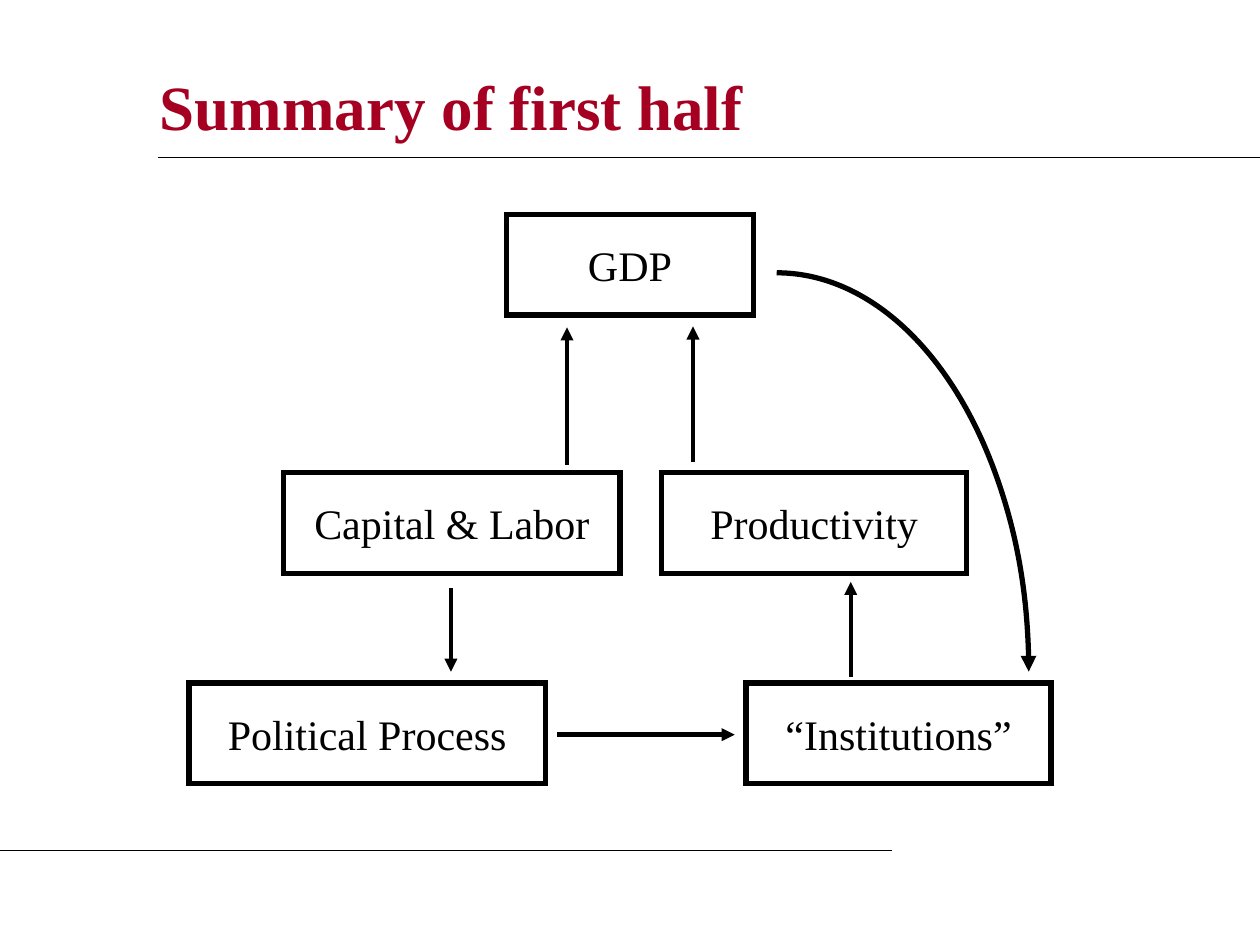
"""Build a slide with a cycle diagram linking GDP, politics and institutions."""
from typing import NamedTuple

from lxml import etree
from pptx import Presentation
from pptx import util as u
from pptx.dml.color import RGBColor
from pptx.enum import shapes, text
from pptx.oxml import ns

FONT = "Times New Roman"
BLACK = "000000"
CRIMSON = "A50021"
BOX_HEIGHT = 2.03
BOX_INSET = 0.51
TOP_ROW, MIDDLE_ROW, BOTTOM_ROW = 4.32, 9.53, 13.77


class Box(NamedTuple):
    label: str
    left: float
    top: float
    width: float


class Line(NamedTuple):
    start: tuple[float, float]
    end: tuple[float, float]


BOXES = [
    Box("GDP", 10.21, TOP_ROW, 4.98),
    Box("Capital & Labor", 5.72, MIDDLE_ROW, 6.78),
    Box("Productivity", 13.34, MIDDLE_ROW, 6.15),
    Box("Political Process", 3.81, BOTTOM_ROW, 7.19),
    Box("“Institutions”", 15.04, BOTTOM_ROW, 6.15),
]
RULES = [
    Line((3.18, 3.18), (25.4, 3.18)),
    Line((0, 17.15), (17.98, 17.15)),
]
ARROWS = [
    Line((11.43, 9.37), (11.43, 6.6)),
    Line((13.97, 9.32), (13.97, 6.58)),
    Line((17.15, 13.64), (17.15, 11.73)),
    Line((9.09, 11.86), (9.09, 13.54)),
    Line((11.23, 14.81), (14.81, 14.81)),
]


def color(value: str) -> RGBColor:
    return RGBColor.from_string(value)


def style_line(shape, width: float, end: str = "") -> None:
    shape.line.width = u.Pt(width)
    shape.line.color.rgb = color(BLACK)
    outline = shape.line._get_or_add_ln()
    etree.SubElement(outline, ns.qn("a:miter"), lim="800000")
    if end:
        etree.SubElement(outline, ns.qn("a:tailEnd"), type=end)


def style_text(paragraph, size: float, value: str, bold: bool = False) -> None:
    for run in paragraph.runs:
        run.font.name = FONT
        run.font.size = u.Pt(size)
        run.font.bold = bold
        run.font.color.rgb = color(value)


def add_title(slide, title: str) -> None:
    shape = slide.shapes.title
    shape.left, shape.top = u.Cm(2.97), u.Cm(1.07)
    shape.width, shape.height = u.Cm(20.52), u.Cm(2.11)
    frame = shape.text_frame
    frame.text = title
    frame.vertical_anchor = text.MSO_ANCHOR.MIDDLE
    paragraph = frame.paragraphs[0]
    paragraph.alignment = text.PP_ALIGN.LEFT
    style_text(paragraph, 36, CRIMSON, bold=True)


def add_outline(slide, kind, left: float, top: float, width: float, height: float):
    shape = slide.shapes.add_shape(kind, u.Cm(left), u.Cm(top), u.Cm(width), u.Cm(height))
    shape.shadow.inherit = False
    shape.fill.background()
    return shape


def add_box(slide, box: Box) -> None:
    shape = add_outline(slide, shapes.MSO_SHAPE.RECTANGLE,
                        box.left, box.top, box.width, BOX_HEIGHT)
    style_line(shape, 3)
    frame = shape.text_frame
    frame.text = box.label
    frame.word_wrap = True
    frame.vertical_anchor = text.MSO_ANCHOR.MIDDLE
    frame.margin_left = frame.margin_right = u.Cm(BOX_INSET)
    frame.margin_top = frame.margin_bottom = u.Cm(BOX_INSET)
    paragraph = frame.paragraphs[0]
    paragraph.alignment = text.PP_ALIGN.CENTER
    style_text(paragraph, 24, BLACK)


def add_line(slide, line: Line, width: float, end: str = "") -> None:
    connector = slide.shapes.add_connector(
        shapes.MSO_CONNECTOR.STRAIGHT, *map(u.Cm, line.start + line.end))
    style_line(connector, width, end)
    etree.SubElement(connector._element.spPr, ns.qn("a:effectLst"))


def add_feedback_arc(slide) -> None:
    arc = add_outline(slide, shapes.MSO_SHAPE.ARC, 10.58, 5.5, 10.16, 16.08)
    style_line(arc, 3, "triangle")


def main() -> None:
    presentation = Presentation()
    presentation.slide_width, presentation.slide_height = u.Cm(25.4), u.Cm(19.05)
    slide = presentation.slides.add_slide(presentation.slide_layouts[5])
    add_title(slide, "Summary of first half")
    for rule in RULES:
        add_line(slide, rule, 0.75)
    for box in BOXES:
        add_box(slide, box)
    for arrow in ARROWS:
        add_line(slide, arrow, 2.5, "triangle")
    add_feedback_arc(slide)
    presentation.save("out.pptx")


if __name__ == "__main__":
    main()
